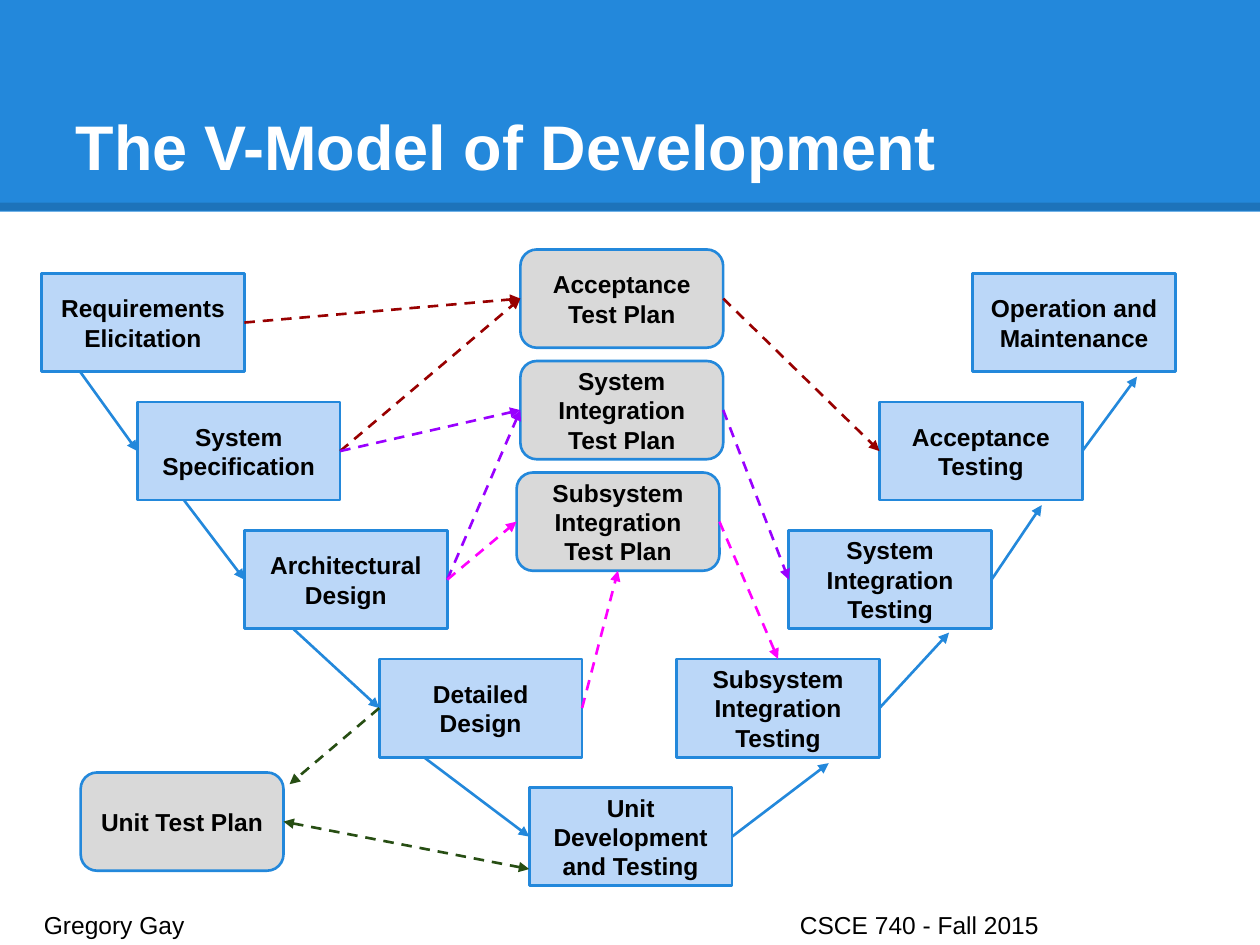
import dataclasses

import pptx
import pptx.dml.color
import pptx.enum.dml
import pptx.enum.shapes
import pptx.enum.text
import pptx.oxml
import pptx.oxml.ns
import pptx.util

Inches = pptx.util.Inches
Pt = pptx.util.Pt
RGB = pptx.dml.color.RGBColor.from_string
SHAPE = pptx.enum.shapes.MSO_SHAPE
ANCHOR = pptx.enum.text.MSO_ANCHOR
ALIGN = pptx.enum.text.PP_ALIGN


@dataclasses.dataclass(frozen=True)
class Theme:
    """Colours, type sizes and line widths of the slide."""

    font: str = "Arial"
    blue: str = "2388DB"
    step: str = "BBD7F8"
    plan: str = "D9D9D9"
    white: str = "FFFFFF"
    black: str = "000000"
    acceptance: str = "980000"
    system: str = "9900FF"
    subsystem: str = "FF00FF"
    unit: str = "274E13"
    title_size: int = 36
    text_size: int = 14
    line: float = 1.5
    rule: float = 4.5


THEME = Theme()
WIDTH, HEIGHT = 10, 7.5
BOX_W, BOX_H = 1.61, 0.78
STEP_TOP, STEP_PITCH = 2.17, 1.02
PLAN_TOP, PLAN_PITCH = 1.98, 0.885

LEFT, RIGHT, TOP, BOTTOM = (0, 0.5), (1, 0.5), (0.5, 0), (0.5, 1)
SITES = {TOP: 0, LEFT: 1, BOTTOM: 2, RIGHT: 3}

STEPS = [
    ("Requirements Elicitation", 0.33, 0),
    ("System Specification", 1.09, 1),
    ("Architectural Design", 1.94, 2),
    ("Detailed Design", 3.01, 3),
    ("Unit Development and Testing", 4.2, 4),
    ("Subsystem Integration Testing", 5.37, 3),
    ("System Integration Testing", 6.26, 2),
    ("Acceptance Testing", 6.98, 1),
    ("Operation and Maintenance", 7.72, 0),
]
PLANS = [
    ("Acceptance Test Plan", 4.13, 0),
    ("System Integration Test Plan", 4.13, 1),
    ("Subsystem Integration Test Plan", 4.1, 2),
    ("Unit Test Plan", 0.64, 4.69),
]
STEP_ENDS = [
    ((0.19, 1), LEFT), ((0.23, 1), LEFT), ((0.24, 1), LEFT), ((0.22, 1), LEFT),
    (RIGHT, (0.75, 1.06)), (RIGHT, (0.79, 1.04)),
    (RIGHT, (0.8, 1.05)), (RIGHT, (0.81, 1.05)),
]
PLAN_LINKS = [
    ("Requirements Elicitation", RIGHT, "Acceptance Test Plan", LEFT, THEME.acceptance),
    ("System Specification", RIGHT, "Acceptance Test Plan", LEFT, THEME.acceptance),
    ("System Specification", RIGHT, "System Integration Test Plan", LEFT, THEME.system),
    ("Architectural Design", RIGHT, "System Integration Test Plan", LEFT, THEME.system),
    ("Architectural Design", RIGHT, "Subsystem Integration Test Plan", LEFT, THEME.subsystem),
    ("Detailed Design", RIGHT, "Subsystem Integration Test Plan", BOTTOM, THEME.subsystem),
    ("Acceptance Test Plan", RIGHT, "Acceptance Testing", LEFT, THEME.acceptance),
    ("System Integration Test Plan", RIGHT, "System Integration Testing", LEFT, THEME.system),
    ("Subsystem Integration Test Plan", RIGHT, "Subsystem Integration Testing", TOP, THEME.subsystem),
    ("Detailed Design", LEFT, "Unit Test Plan", (1.03, 0.12), THEME.unit),
]


def add_xml(parent, tag, **attrs):
    """Append a DrawingML element with attributes and return it."""
    child = pptx.oxml.parse_xml(f"<a:{tag} {pptx.oxml.ns.nsdecls('a')}/>")
    for name, value in attrs.items():
        child.set(name, str(value))
    parent.append(child)
    return child


def write(shape, text, size=THEME.text_size, color=THEME.black, bold=False,
          align=ALIGN.LEFT, anchor=ANCHOR.TOP, tab=None):
    """Put one formatted paragraph into a shape."""
    tf = shape.text_frame
    frame = {"word_wrap": True, "auto_size": pptx.enum.text.MSO_AUTO_SIZE.NONE,
             "vertical_anchor": anchor}
    frame.update({f"margin_{side}": Inches(0.1) for side in ("left", "right", "top", "bottom")})
    for name, value in frame.items():
        setattr(tf, name, value)
    p = tf.paragraphs[0]
    p.alignment = align
    if tab:
        tabs = add_xml(p._p.get_or_add_pPr(), "tabLst")
        add_xml(tabs, "tab", pos=Inches(tab), algn="l")
    r = p.add_run()
    r.text = text
    for name, value in {"name": THEME.font, "size": Pt(size), "bold": bold}.items():
        setattr(r.font, name, value)
    r.font.color.rgb = RGB(color)


def add_block(s, kind, box, fill, line=None):
    """Add a filled preset shape, outlined when a line colour is given."""
    sp = s.shapes.add_shape(kind, *map(Inches, box))
    sp.shadow.inherit = False
    sp.fill.solid()
    sp.fill.fore_color.rgb = RGB(fill)
    if line:
        sp.line.color.rgb = RGB(line)
        sp.line.width = Pt(THEME.line)
    else:
        sp.line.fill.background()
    return sp


def add_line(s, start, end, color, width=THEME.line):
    """Add a straight connector between two points."""
    ln = s.shapes.add_connector(pptx.enum.shapes.MSO_CONNECTOR.STRAIGHT, *start, *end)
    ln.line.color.rgb = RGB(color)
    ln.line.width = Pt(width)
    add_xml(ln._element.spPr, "effectLst")
    return ln


def add_header(s, text):
    """Add the title over its colour band and translucent rule."""
    title = s.shapes.title
    band = add_block(s, SHAPE.RECTANGLE, (0, 0, WIDTH, 1.68), THEME.blue)
    rule = add_line(s, (0, Inches(1.64)), (Inches(WIDTH), Inches(1.64)), THEME.black, THEME.rule)
    add_xml(rule.line._ln.find(".//" + pptx.oxml.ns.qn("a:srgbClr")), "alpha", val=15000)
    for sp in (band, rule):
        title._element.addprevious(sp._element)
    box = {"left": 0.5, "top": 0.3, "width": 9, "height": 1.25}
    for name, value in box.items():
        setattr(title, name, Inches(value))
    write(title, text, THEME.title_size, THEME.white, True, anchor=ANCHOR.BOTTOM)


def add_nodes(s, nodes, kind, fill, top, pitch):
    """Add labelled boxes on evenly spaced rows and return them by label."""
    boxes = {}
    for label, left, row in nodes:
        sp = add_block(s, kind, (left, top + row * pitch, BOX_W, BOX_H), fill, THEME.blue)
        write(sp, label, bold=True, align=ALIGN.CENTER, anchor=ANCHOR.MIDDLE)
        boxes[label] = sp
    return boxes


def point_on(sp, share):
    """Return the point at the given shares of a shape's width and height."""
    return int(sp.left + share[0] * sp.width), int(sp.top + share[1] * sp.height)


def add_arrow(s, source, start, target, end, color, dashed=False, both=False):
    """Link two boxes with an arrow, glued wherever an end meets a side's middle."""
    ln = add_line(s, point_on(source, start), point_on(target, end), color)
    if start in SITES:
        ln.begin_connect(source, SITES[start])
    if end in SITES:
        ln.end_connect(target, SITES[end])
    if dashed:
        ln.line.dash_style = pptx.enum.dml.MSO_LINE.DASH
    for tag in ("headEnd", "tailEnd") if both else ("tailEnd",):
        add_xml(ln.line._ln, tag, type="triangle")


def main():
    """Build the slide and save it."""
    prs = pptx.Presentation()
    prs.slide_width, prs.slide_height = Inches(WIDTH), Inches(HEIGHT)
    s = prs.slides.add_slide(prs.slide_layouts[5])
    add_header(s, "The V-Model of Development")
    steps = add_nodes(s, STEPS, SHAPE.RECTANGLE, THEME.step, STEP_TOP, STEP_PITCH)
    plans = add_nodes(s, PLANS, SHAPE.ROUNDED_RECTANGLE, THEME.plan, PLAN_TOP, PLAN_PITCH)
    boxes = {**steps, **plans}
    chain = list(steps.values())
    for source, target, (start, end) in zip(chain, chain[1:], STEP_ENDS):
        add_arrow(s, source, start, target, end, THEME.blue)
    for source, start, target, end, color in PLAN_LINKS:
        add_arrow(s, boxes[source], start, boxes[target], end, color, dashed=True)
    add_arrow(s, boxes["Unit Test Plan"], RIGHT, boxes["Unit Development and Testing"],
              (0, 0.83), THEME.unit, dashed=True, both=True)
    footer = s.shapes.add_textbox(*map(Inches, (0.25, 7.12, 9.51, 0.3)))
    write(footer, "Gregory Gay\tCSCE 740 - Fall 2015", tab=6)
    prs.save("out.pptx")


if __name__ == "__main__":
    main()
